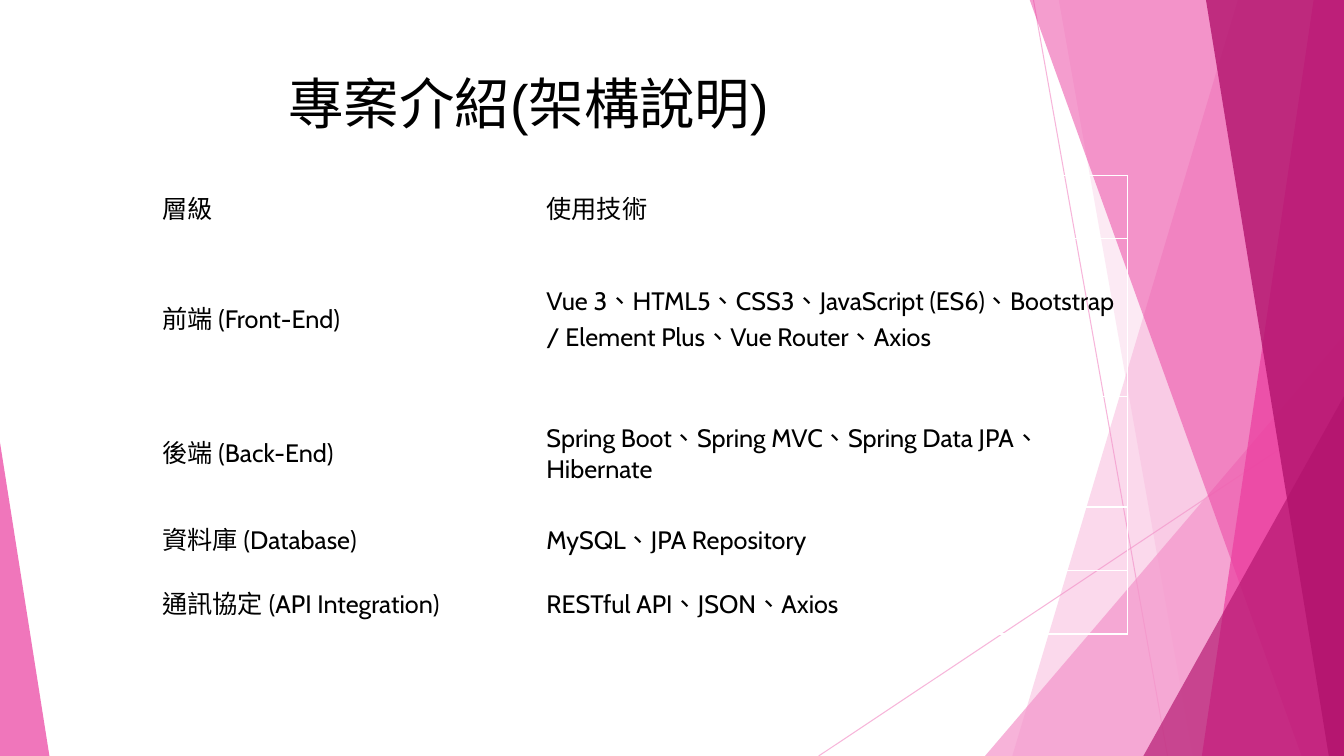
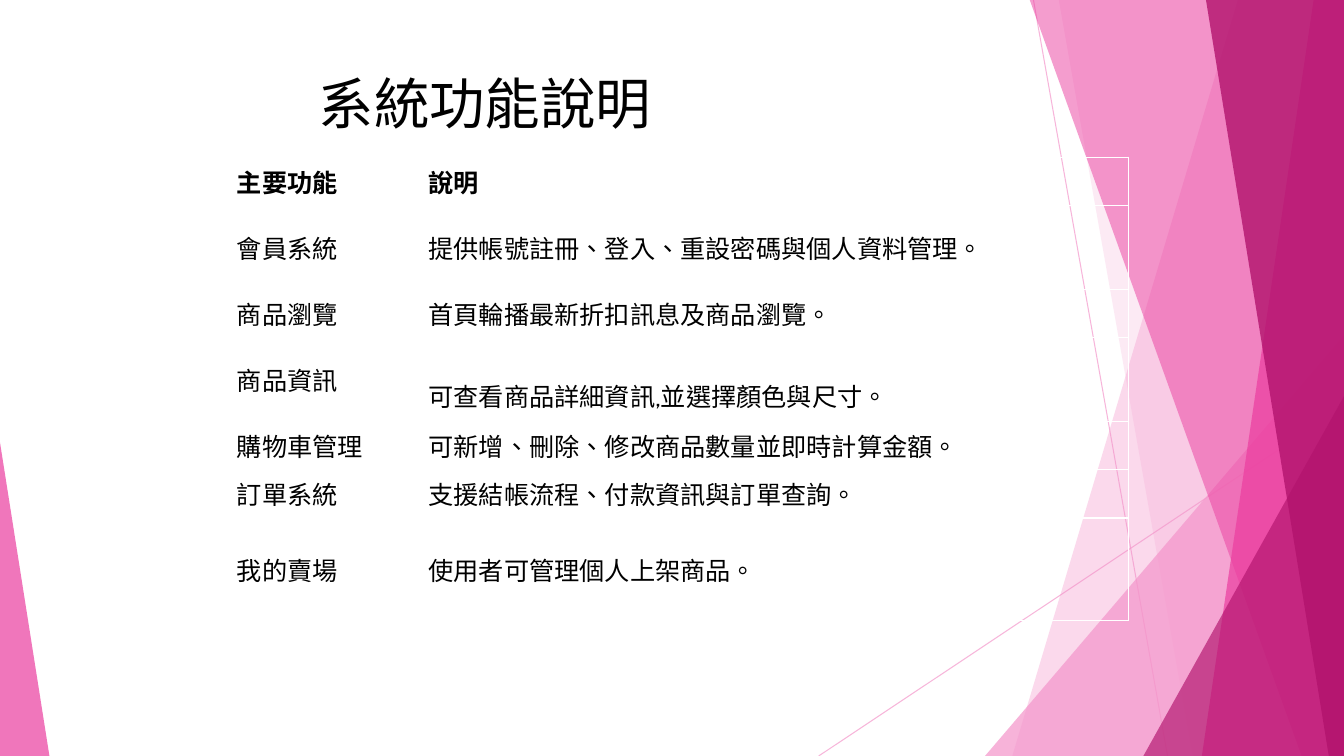
from dataclasses import dataclass

from pptx import Presentation
from pptx.dml.color import RGBColor
from pptx.enum.lang import MSO_LANGUAGE_ID as Language
from pptx.enum.shapes import MSO_CONNECTOR as Connector, MSO_SHAPE as Shape
from pptx.enum.text import MSO_ANCHOR as Anchor
from pptx.oxml.ns import qn
from pptx.util import Inches, Pt


@dataclass(frozen=True)
class Theme:
    ink: RGBColor = RGBColor.from_string("000000")
    light: RGBColor = RGBColor.from_string("F496CB")
    pink: RGBColor = RGBColor.from_string("EB3D9F")
    deep: RGBColor = RGBColor.from_string("B2136D")
    font: str = "Cabin"
    title_size: float = 39.6
    table_size: float = 18


theme = Theme()
WIDTH, HEIGHT, TOP = 13.33, 7.5, -0.01

# Start and end point of each hairline
HAIRLINES = [((10.25, 0), (11.58, HEIGHT)), ((WIDTH, 4.03), (8.12, HEIGHT))]

# From back to front. A band runs to the right edge: top x, bottom x.
# A triangle stands on the bottom edge: left, top, width, apex position.
FACETS = [
    ("band", (12.28, 10.04), theme.light, 36),
    ("band", (10.5, 11.83), theme.light, 20),
    ("triangle", (9.77, 3.33, 3.56, 1), theme.light, 72),
    ("band", (10.21, 12.91), theme.pink, 50),
    ("band", (13.03, 11.92), theme.pink, 70),
    ("band", (11.96, 13.18), theme.deep, 80),
    ("triangle", (11.34, 3.93, 1.99, 1), theme.deep, 66),
    ("triangle", (0, 4.39, 0.49, 0), theme.pink, 70),
]

SLIDES = [
    {
        "title": "專案介紹(架構說明)",
        "title_font": "Arial",
        "title_inset": 2.12,
        "table_at": (1.51, 1.74),
        "columns": [3.81, 5.86],
        "heights": [0.63, 1.56, 1.1, 0.63, 0.63],
        "bold_header": False,
        "top_margins": {},
        "rows": [
            ("層級", "使用技術"),
            ("前端 (Front-End)",
             "Vue 3、HTML5、CSS3、JavaScript (ES6)、Bootstrap / Element Plus、Vue Router、Axios"),
            ("後端 (Back-End)", "Spring Boot、Spring MVC、Spring Data JPA、Hibernate"),
            ("資料庫 (Database)", "MySQL、JPA Repository"),
            ("通訊協定 (API Integration)", "RESTful API、JSON、Axios"),
        ],
    },
    {
        "title": "系統功能說明",
        "title_font": theme.font,
        "title_inset": 2.42,
        "table_at": (2.25, 1.56),
        "columns": [1.9, 7.04],
        "heights": [0.48, 0.83, 0.48, 0.83, 0.48, 0.48, 1.02],
        "bold_header": True,
        "top_margins": {(3, 1): 0.37},
        "rows": [
            ("主要功能", "說明"),
            ("會員系統", "提供帳號註冊、登入、重設密碼與個人資料管理。"),
            ("商品瀏覽", "首頁輪播最新折扣訊息及商品瀏覽。"),
            ("商品資訊", "可查看商品詳細資訊,並選擇顏色與尺寸。"),
            ("購物車管理", "可新增、刪除、修改商品數量並即時計算金額。"),
            ("訂單系統", "支援結帳流程、付款資訊與訂單查詢。"),
            ("我的賣場", "使用者可管理個人上架商品。"),
        ],
    },
]


def set_opacity(shape, percent):
    for color in shape.element.xpath("./p:spPr//a:srgbClr"):
        alpha = color.makeelement(qn("a:alpha"), {"val": str(percent * 1000)})
        color.append(alpha)


def write(frame, text, font, size, bold=False):
    """Put one styled line of text into a text frame."""
    para = frame.paragraphs[0]
    para.text = text
    for span in para.runs:
        span.font.name = font
        span.font.size = Pt(size)
        span.font.bold = bold
        span.font.color.rgb = theme.ink
        span.font.language_id = Language.TRADITIONAL_CHINESE


deck = Presentation()
deck.slide_width, deck.slide_height = Inches(WIDTH), Inches(HEIGHT)

for content in SLIDES:
    page = deck.slides.add_slide(deck.slide_layouts[6])

    for start, end in HAIRLINES:
        hairline = page.shapes.add_connector(
            Connector.STRAIGHT, *[Inches(value) for value in start + end])
        hairline.line.color.rgb = theme.light
        hairline.line.width = Pt(0.75)
        set_opacity(hairline, 70)
        properties = hairline.element.spPr
        properties.append(properties.makeelement(qn("a:effectLst"), {}))

    for kind, geometry, color, opacity in FACETS:
        if kind == "band":
            top_x, bottom_x = geometry
            outline = page.shapes.build_freeform(Inches(top_x), Inches(TOP))
            corners = [(WIDTH, TOP), (WIDTH, HEIGHT), (bottom_x, HEIGHT)]
            outline.add_line_segments([(Inches(x), Inches(y)) for x, y in corners])
            facet = outline.convert_to_shape()
        else:
            left, top, width, apex = geometry
            facet = page.shapes.add_shape(
                Shape.ISOSCELES_TRIANGLE, Inches(left), Inches(top),
                Inches(width), Inches(HEIGHT - top))
            facet.adjustments[0] = apex
        facet.shadow.inherit = False
        facet.fill.solid()
        facet.fill.fore_color.rgb = color
        facet.line.fill.background()
        set_opacity(facet, opacity)

    title = page.shapes.add_textbox(Inches(0.74), Inches(0.67), Inches(9.34), Inches(0.7))
    title.text_frame.word_wrap = True
    title.text_frame.vertical_anchor = Anchor.MIDDLE
    title.text_frame.margin_left = Inches(content["title_inset"])
    write(title.text_frame, content["title"], content["title_font"], theme.title_size)

    left, top = content["table_at"]
    rows, columns, heights = content["rows"], content["columns"], content["heights"]
    table = page.shapes.add_table(
        len(rows), len(columns), Inches(left), Inches(top),
        Inches(sum(columns)), Inches(sum(heights))).table
    table.first_row = table.horz_banding = False
    for column, width in zip(table.columns, columns):
        column.width = Inches(width)
    for row_index, texts in enumerate(rows):
        table.rows[row_index].height = Inches(heights[row_index])
        for column_index, text in enumerate(texts):
            cell = table.cell(row_index, column_index)
            cell.fill.background()
            cell.vertical_anchor = Anchor.MIDDLE
            cell.margin_top = Inches(
                content["top_margins"].get((row_index, column_index), 0.05))
            write(cell.text_frame, text, theme.font, theme.table_size,
                  bold=content["bold_header"] and row_index == 0)

deck.save("out.pptx")
